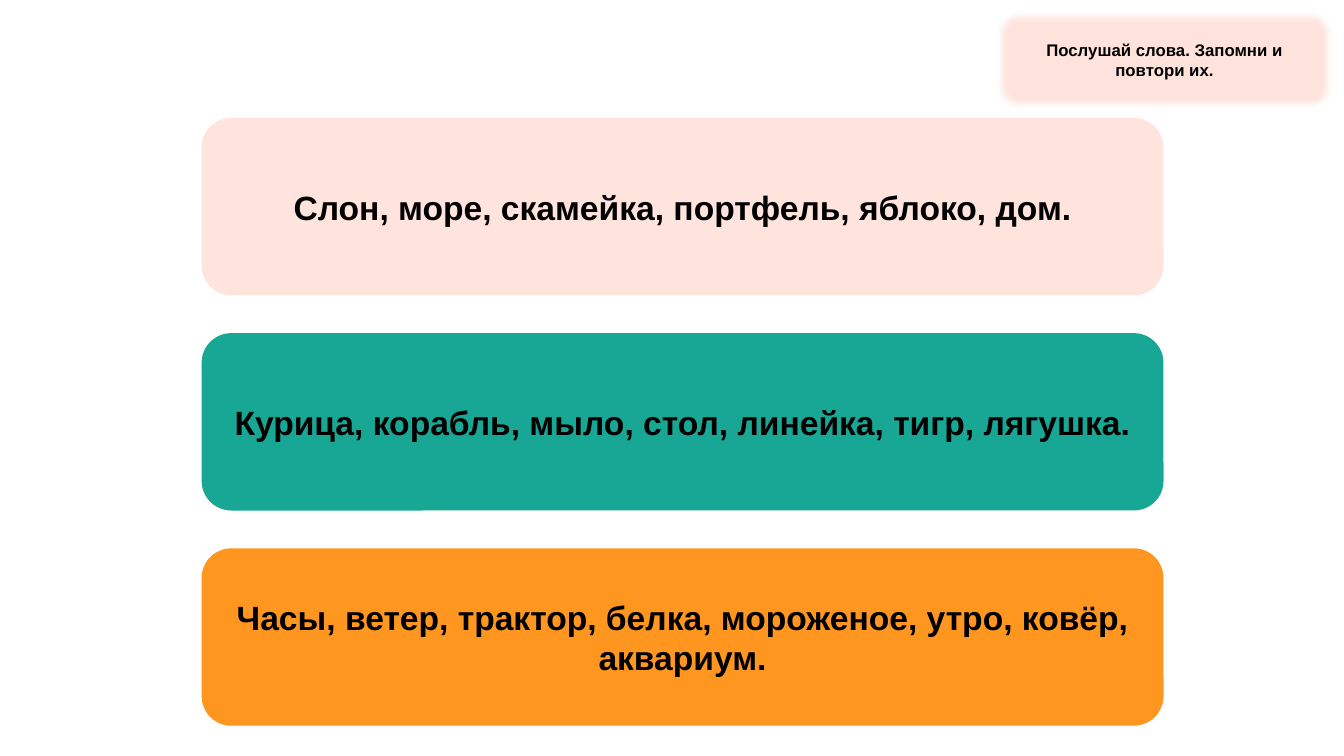
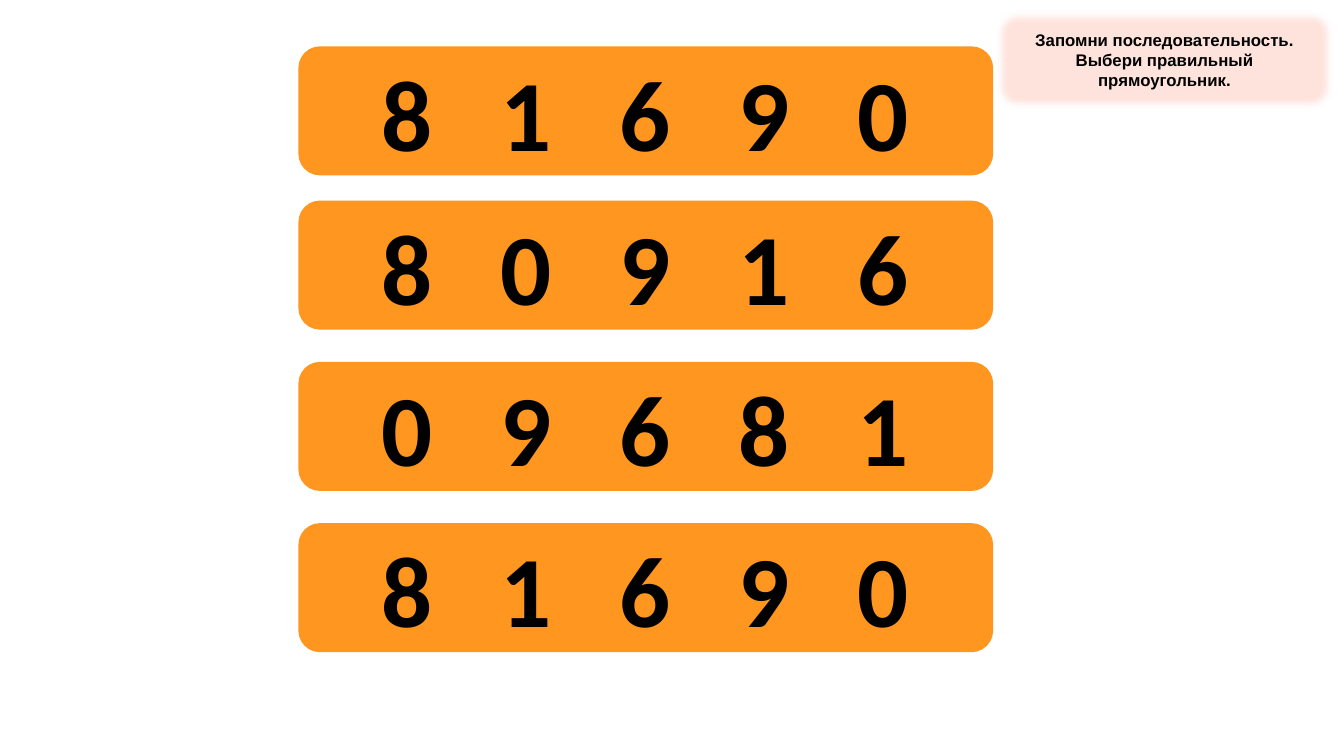
from lxml import etree
from pptx import Presentation
from pptx.dml.color import RGBColor
from pptx.enum.shapes import MSO_SHAPE
from pptx.enum.text import MSO_ANCHOR, MSO_AUTO_SIZE, PP_ALIGN
from pptx.oxml.ns import qn
from pptx.util import Inches, Pt

ROUNDED = MSO_SHAPE.ROUNDED_RECTANGLE
MIDDLE = MSO_ANCHOR.MIDDLE
NO_AUTOFIT = MSO_AUTO_SIZE.NONE
CENTER, LEFT = PP_ALIGN.CENTER, PP_ALIGN.LEFT
TITLE_ONLY = 5

COLORS = {"pink": "FFE4DD", "teal": "18A795", "orange": "FE961F", "text": "000000"}

TASK_BOX = (9.87, 0.1, 3.36, 0.99)
TASK_MARGIN = Inches(0.15)
SOFT_EDGE = Pt(5)

WORD_CARDS = [
    ("pink", "Слон, море, скамейка, портфель, яблоко, дом."),
    ("teal", "Курица, корабль, мыло, стол, линейка, тигр, лягушка."),
    ("orange", "Часы, ветер, трактор, белка, мороженое, утро, ковёр, аквариум."),
]
DIGIT_ROWS = [(0.46, "81690"), (1.99, "80916"), (3.59, "09681"), (5.19, "81690")]
DIGIT_PITCH = 1.18
DIGIT_INDENT = 0.76


def write(shape, text, size, font="Arial", align=CENTER):
    frame = shape.text_frame
    frame.text = text
    frame.word_wrap = True
    frame.auto_size = NO_AUTOFIT
    frame.vertical_anchor = MIDDLE
    paragraph = frame.paragraphs[0]
    paragraph.alignment = align
    for run in paragraph.runs:
        run.font.size = Pt(size)
        run.font.name = font
        run.font.bold = True
        run.font.color.rgb = RGBColor.from_string(COLORS["text"])


def add_card(slide, box, color):
    card = slide.shapes.add_shape(ROUNDED, *map(Inches, box))
    card.shadow.inherit = False
    card.fill.solid()
    card.fill.fore_color.rgb = RGBColor.from_string(COLORS[color])
    card.line.fill.background()
    return card


def add_task_slide(prs, task):
    """Slide with its title on a soft-edged card in the corner."""
    slide = prs.slides.add_slide(prs.slide_layouts[TITLE_ONLY])
    title = slide.shapes.title

    # Soft card, placed behind the title
    card = add_card(slide, TASK_BOX, "pink")
    effects = card._element.spPr.find(qn("a:effectLst"))
    etree.SubElement(effects, qn("a:softEdge"), rad=str(SOFT_EDGE))
    title._element.addprevious(card._element)

    # Task text
    title.left, title.top, title.width, title.height = map(Inches, TASK_BOX)
    write(title, task, 12)
    title.text_frame.margin_left = title.text_frame.margin_right = TASK_MARGIN
    return slide


def add_word_cards(slide, left, top, width, height):
    """Equal cards spread from the top to the bottom of the box."""
    card_height = 1.76
    step = (height - card_height) / (len(WORD_CARDS) - 1)
    for index, (color, words) in enumerate(WORD_CARDS):
        card = add_card(slide, (left, top + index * step, width, card_height), color)
        write(card, words, 24)


def add_digit_row(slide, box, digits):
    """One answer card with its digits set on equal tab stops."""
    row = add_card(slide, box, "orange")
    write(row, "\t".join(digits), 72, "Calibri", LEFT)
    row.text_frame.margin_left = Inches(DIGIT_INDENT)
    paragraph_properties = row.text_frame.paragraphs[0]._p.get_or_add_pPr()
    tabs = etree.SubElement(paragraph_properties, qn("a:tabLst"))
    for stop in range(1, len(digits)):
        etree.SubElement(tabs, qn("a:tab"), pos=str(Inches(stop * DIGIT_PITCH)), algn="l")


def main():
    prs = Presentation()
    prs.slide_width, prs.slide_height = Inches(13.33), Inches(7.5)

    # Words to remember
    words_slide = add_task_slide(prs, "Послушай слова. Запомни и повтори их.")
    add_word_cards(words_slide, 2, 1.17, 9.54, 6.03)

    # Digit sequences to choose from
    digits_slide = add_task_slide(
        prs, "Запомни последовательность. Выбери правильный прямоугольник.")
    for top, digits in DIGIT_ROWS:
        add_digit_row(digits_slide, (2.96, top, 6.89, 1.28), digits)

    prs.save("out.pptx")


if __name__ == "__main__":
    main()
